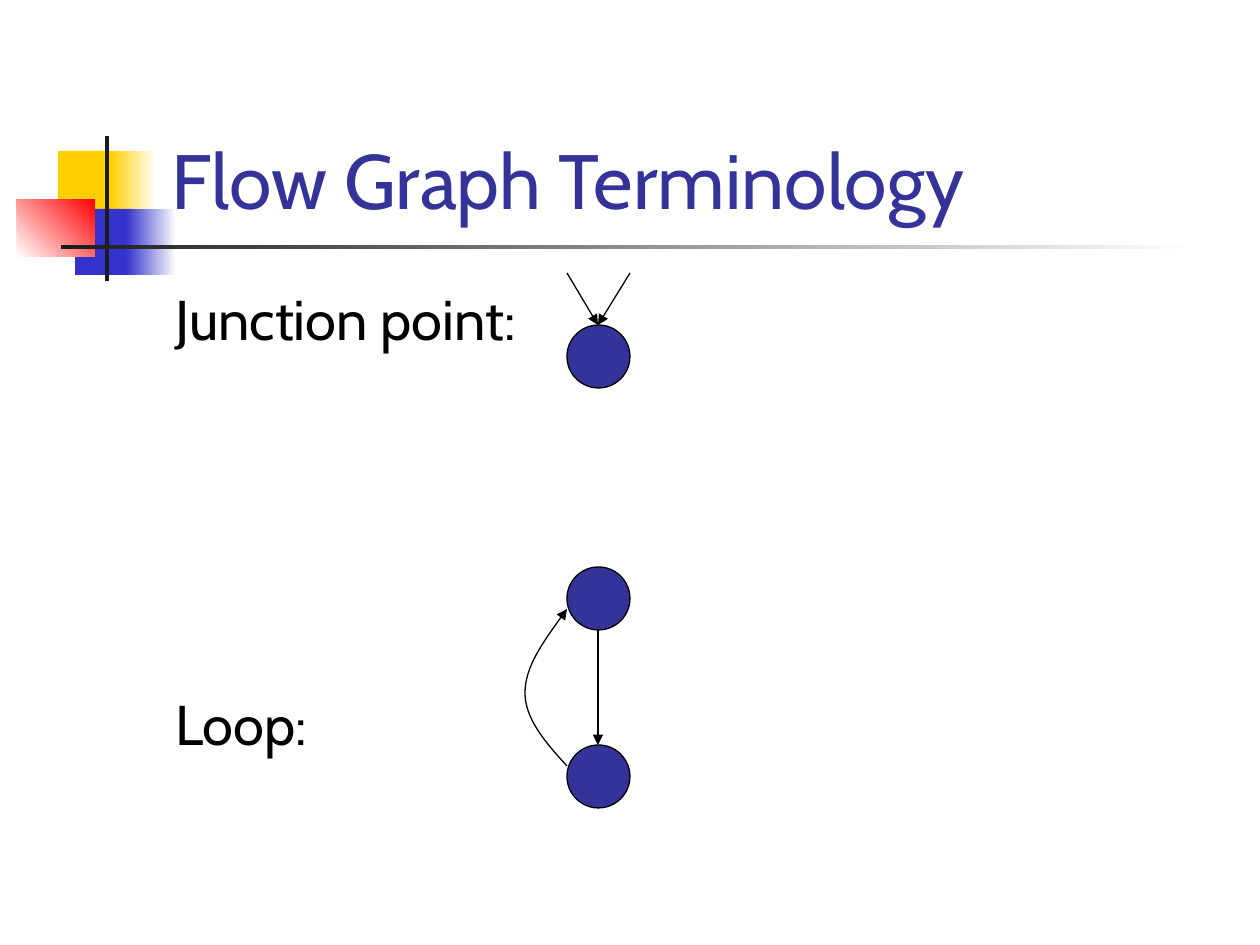
from dataclasses import dataclass

from lxml import etree
from pptx import Presentation
from pptx.dml.color import RGBColor
from pptx.enum import shapes, text
from pptx.oxml.ns import qn
from pptx.util import Pt

EMU_PER_PX = 914400 / 126
FONT = "Cabin"
INDIGO, BLACK, WHITE = "333399", "000000", "FFFFFF"
YELLOW, BLUE, RED, CHARCOAL = "FFCF01", "3333CC", "FF0000", "1C1C1C"
NODE_SIZE = 63
NODE_X = 567
CENTER_X = 598


@dataclass
class Block:
    left: int
    top: int
    width: int
    height: int
    start: str
    end: str = ""  # an empty end colour means a solid fill
    angle: int = 0


@dataclass
class Line:
    words: str
    size: int
    color: str
    space_before: int = 0


def px(*lengths: int) -> list[int]:
    return [round(length * EMU_PER_PX) for length in lengths]


def rgb(color: str) -> RGBColor:
    return RGBColor.from_string(color)


def add_block(parent, block: Block) -> None:
    shape = parent.add_shape(shapes.MSO_SHAPE.RECTANGLE,
                             *px(block.left, block.top, block.width, block.height))
    shape.shadow.inherit = False
    shape.line.fill.background()
    if not block.end:
        shape.fill.solid()
        shape.fill.fore_color.rgb = rgb(block.start)
        return
    shape.fill.gradient()
    shape.fill.gradient_angle = block.angle
    for stop, color, position in zip(shape.fill.gradient_stops, (block.start, block.end), (0, 1)):
        stop.color.rgb = rgb(color)
        stop.position = position


def add_text(parent, box: tuple[int, int, int, int], lines: list[Line],
             anchor=text.MSO_ANCHOR.TOP) -> None:
    frame = parent.add_textbox(*px(*box)).text_frame
    frame.word_wrap = True
    frame.vertical_anchor = anchor
    for index, line in enumerate(lines):
        paragraph = frame.add_paragraph() if index else frame.paragraphs[0]
        paragraph.text = line.words
        paragraph.space_before = Pt(line.space_before)
        paragraph.font.name = FONT
        paragraph.font.size = Pt(line.size)
        paragraph.font.color.rgb = rgb(line.color)


def outline(shape) -> None:
    shape.line.color.rgb = rgb(BLACK)
    shape.line.width = Pt(0.75)


def add_arrowhead(shape) -> None:
    etree.SubElement(shape.line._get_or_add_ln(), qn("a:tailEnd"), type="triangle")


def add_node(parent, top: int) -> None:
    shape = parent.add_shape(shapes.MSO_SHAPE.OVAL, *px(NODE_X, top, NODE_SIZE, NODE_SIZE))
    shape.shadow.inherit = False
    shape.fill.solid()
    shape.fill.fore_color.rgb = rgb(INDIGO)
    outline(shape)


def add_arrow(parent, start: tuple[int, int], end: tuple[int, int]) -> None:
    connector = parent.add_connector(shapes.MSO_CONNECTOR.STRAIGHT, *px(*start, *end))
    outline(connector)
    add_arrowhead(connector)
    etree.SubElement(connector._element.spPr, qn("a:effectLst"))


def add_curved_arrow(parent, start: tuple[int, int], points: list[tuple[int, int]]) -> None:
    """Draw cubic segments; each takes two control points and an end point."""
    builder = parent.build_freeform(*start, scale=EMU_PER_PX)
    builder.add_line_segments(points, close=False)
    shape = builder.convert_to_shape()
    segments = list(shape._element.iter(qn("a:lnTo")))
    for index in range(0, len(segments), 3):
        first, *others = segments[index:index + 3]
        curve = etree.Element(qn("a:cubicBezTo"))
        first.addprevious(curve)
        for segment in (first, *others):
            curve.append(segment[0])
            segment.getparent().remove(segment)
    shape.shadow.inherit = False
    shape.fill.background()
    outline(shape)
    add_arrowhead(shape)


def main() -> None:
    presentation = Presentation()
    presentation.slide_width, presentation.slide_height = px(1260, 945)
    slide = presentation.slides.add_slide(presentation.slide_layouts[6])

    # Corner ornament and rule under the title
    for block in (
        Block(58, 151, 60, 66, YELLOW),
        Block(111, 151, 45, 66, YELLOW, WHITE),
        Block(75, 209, 58, 66, BLUE),
        Block(126, 209, 50, 66, BLUE, WHITE),
        Block(17, 199, 78, 58, WHITE, RED, 45),
        Block(105, 136, 4, 145, CHARCOAL),
        Block(61, 245, 1134, 4, CHARCOAL, WHITE),
    ):
        add_block(slide.shapes, block)

    # Title and terms
    add_text(slide.shapes, (159, 29, 1074, 202),
             [Line("Flow Graph Terminology", 44, INDIGO)], text.MSO_ANCHOR.BOTTOM)
    add_text(slide.shapes, (163, 278, 1071, 567),
             [Line("Junction point:", 32, BLACK), Line("Loop:", 32, BLACK, 193)])

    # Junction point: two edges meeting at one node
    junction = slide.shapes.add_group_shape().shapes
    junction_top = 325
    add_node(junction, junction_top)
    for start_x in (NODE_X, NODE_X + NODE_SIZE):
        add_arrow(junction, (start_x, 273), (CENTER_X, junction_top))

    # Loop: an edge down and a curved edge back up
    loop = slide.shapes.add_group_shape().shapes
    upper_top, lower_top = 567, 745
    for top in (lower_top, upper_top):
        add_node(loop, top)
    add_arrow(loop, (CENTER_X, upper_top + NODE_SIZE), (CENTER_X, lower_top))
    add_curved_arrow(loop, (NODE_X, 766), [(546, 743), (525, 719), (525, 693),
                                           (525, 667), (546, 638), (NODE_X, 609)])

    presentation.save("out.pptx")


if __name__ == "__main__":
    main()
